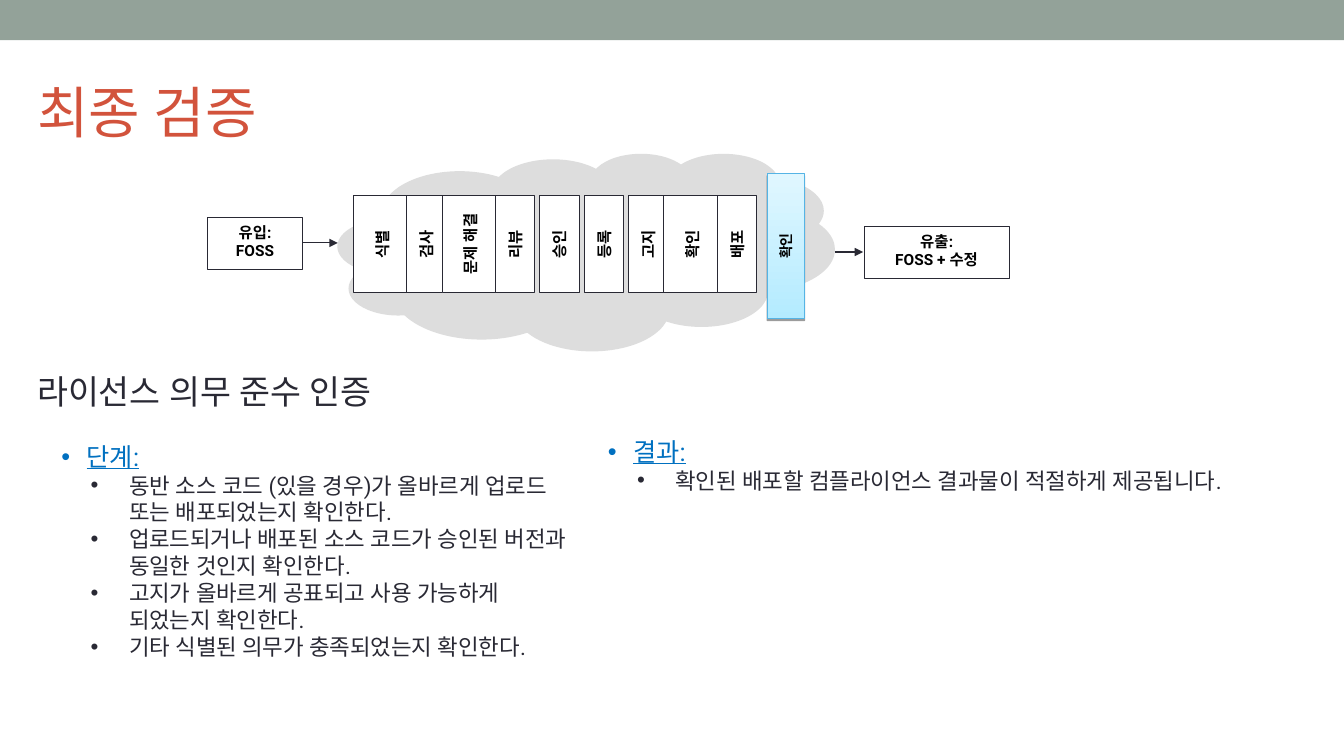
from lxml import etree
from pptx import Presentation
from pptx.dml.color import RGBColor
from pptx.enum.shapes import MSO_CONNECTOR, MSO_SHAPE
from pptx.enum.text import MSO_ANCHOR, MSO_AUTO_SIZE, PP_ALIGN
from pptx.oxml.ns import qn
from pptx.util import Inches, Pt

RECT, CLOUD = MSO_SHAPE.RECTANGLE, MSO_SHAPE.CLOUD_CALLOUT
STRAIGHT = MSO_CONNECTOR.STRAIGHT
TOP, MIDDLE = MSO_ANCHOR.TOP, MSO_ANCHOR.MIDDLE
LEFT, CENTER = PP_ALIGN.LEFT, PP_ALIGN.CENTER
FONT = "Roboto"
C = {"band": "93A299", "title": "D2533C", "ink": "292934", "black": "000000",
     "white": "FFFFFF", "cloud": "DDDDDD", "blue": "0070C0",
     "check_top": "E0F7FF", "check_bottom": "B4EBFF", "check_line": "55B4E5"}

STAGES = ["식별", "검사", "문제 해결", "리뷰", "승인", "등록", "고지", "확인", "배포"]
WIDE_STAGES = {"식별", "문제 해결", "확인"}
STEPS = ["동반 소스 코드 (있을 경우)가 올바르게 업로드 또는 배포되었는지 확인한다.",
         "업로드되거나 배포된 소스 코드가 승인된 버전과 동일한 것인지 확인한다.",
         "고지가 올바르게 공표되고 사용 가능하게 되었는지 확인한다.",
         "기타 식별된 의무가 충족되었는지 확인한다."]
RESULTS = ["확인된 배포할 컴플라이언스 결과물이 적절하게 제공됩니다."]


def rgb(name):
    return RGBColor.from_string(C[name])


def add_text(p, text, size=11, color="black", bold=False, underline=False, align=LEFT):
    p.alignment = align
    r = p.add_run()
    r.text = text
    f = r.font
    f.name, f.size, f.bold, f.underline = FONT, Pt(size), bold, underline
    f.color.rgb = rgb(color)
    etree.SubElement(r._r.get_or_add_rPr(), qn("a:ea"), typeface=FONT)


def setup_frame(sp, anchor=TOP):
    tf = sp.text_frame
    tf.word_wrap = True
    tf.auto_size = MSO_AUTO_SIZE.NONE
    tf.vertical_anchor = anchor
    return tf


def place(sp, x, y, w, h):
    sp.left, sp.top, sp.width, sp.height = (Inches(v) for v in (x, y, w, h))


def add_box(s, x, y, w, h, fill="white", line="ink", kind=RECT):
    sp = s.shapes.add_shape(kind, *(Inches(v) for v in (x, y, w, h)))
    sp.shadow.inherit = False
    sp.fill.solid()
    sp.fill.fore_color.rgb = rgb(fill)
    if line:
        sp.line.color.rgb = rgb(line)
        sp.line.width = Pt(0.75)
    else:
        sp.line.fill.background()
    return sp


def add_arrow(s, x1, y, x2):
    cn = s.shapes.add_connector(STRAIGHT, Inches(x1), Inches(y), Inches(x2), Inches(y))
    cn.line.color.rgb = rgb("ink")
    cn.line.width = Pt(0.75)
    etree.SubElement(cn.line._get_or_add_ln(), qn("a:tailEnd"), type="triangle")
    etree.SubElement(cn._element.spPr, qn("a:effectLst"))


def add_end_box(s, x, y, w, lines):
    tf = setup_frame(add_box(s, x, y, w, 0.51))
    for i, text in enumerate(lines):
        p = tf.paragraphs[0] if i == 0 else tf.add_paragraph()
        add_text(p, text, bold=True, align=CENTER)


def add_stage(s, cx, cy, w, h, text):
    """Box centred on (cx, cy) whose text reads upwards."""
    sp = add_box(s, cx - h / 2, cy - w / 2, h, w)
    sp.rotation = 270
    add_text(setup_frame(sp, MIDDLE).paragraphs[0], text, bold=True, align=CENTER)


def add_check_bar(s, x, y, w, h):
    bar = add_box(s, x, y, w, h, line="check_line")
    bar.fill.gradient()
    bar.fill.gradient_angle = 270
    for stop, name, pos in zip(bar.fill.gradient_stops, ("check_top", "check_bottom"), (0, 1)):
        stop.color.rgb = rgb(name)
        stop.position = pos
    effects = bar._element.spPr.find(qn("a:effectLst"))
    shadow = etree.SubElement(effects, qn("a:outerShdw"), dist=str(Pt(1.6)),
                              dir="5400000", rotWithShape="0")
    color = etree.SubElement(shadow, qn("a:srgbClr"), val=C["black"])
    etree.SubElement(color, qn("a:alpha"), val="38000")

    length, depth = 1.44, 0.37
    label = s.shapes.add_textbox(Inches(x + w / 2 - length / 2), Inches(y + h / 2 - depth / 2),
                                 Inches(length), Inches(depth))
    label.rotation = 270
    add_text(setup_frame(label, MIDDLE).paragraphs[0], "확인", size=10, bold=True, align=CENTER)


def add_process(s, x, y, w, h):
    """Cloud with the row of stages, its inflow and its outflow."""
    cloud = add_box(s, x, y, w, h, fill="cloud", line=None, kind=CLOUD)
    cloud.adjustments[0], cloud.adjustments[1] = -0.007, 0.116
    add_check_bar(s, x + 4.26, y + 0.2, 0.37, 1.44)
    for i, stage in enumerate(STAGES):
        add_stage(s, x + 0.44 + 0.44 * i, y + 0.9,
                  0.57 if stage in WIDE_STAGES else 0.39, 0.97, stage)
    add_end_box(s, x - 1.29, y + 0.64, 0.94, ["유입:", "FOSS"])
    add_arrow(s, x - 0.35, y + 0.89, x)
    add_end_box(s, x + w + 0.29, y + 0.73, 1.44, ["유출:", "FOSS + 수정"])
    add_arrow(s, x + w, y + 0.98, x + w + 0.28)


def set_bullet(p, margin, indent, color):
    pPr = p._p.get_or_add_pPr()
    pPr.set("marL", str(Inches(margin)))
    pPr.set("indent", str(Inches(indent)))
    bu = etree.SubElement(pPr, qn("a:buClr"))
    etree.SubElement(bu, qn("a:srgbClr"), val=C[color])
    etree.SubElement(pPr, qn("a:buFont"), typeface="Arial")
    etree.SubElement(pPr, qn("a:buChar"), char="•")
    p.space_before = Pt(0)


def fill_list(sp, x, y, w, h, heading, items):
    place(sp, x, y, w, h)
    tf = setup_frame(sp)
    p = tf.paragraphs[0]
    set_bullet(p, 0.25, -0.25, "blue")
    p.line_spacing = 0.9
    add_text(p, heading, size=18, color="blue", underline=True)
    for item in items:
        p = tf.add_paragraph()
        p.level = 1
        set_bullet(p, 0.67, -0.38, "ink")
        add_text(p, item, size=16, color="ink")


def add_headings(s, x, y):
    place(s.shapes.title, x, y, 12, 1.08)
    add_text(setup_frame(s.shapes.title, MIDDLE).paragraphs[0], "최종 검증", size=40, color="title")
    sub = s.shapes.add_textbox(Inches(x), Inches(y + 3.07), Inches(13.06), Inches(0.5))
    add_text(setup_frame(sub).paragraphs[0], "라이선스 의무 준수 인증", size=24, color="ink")


def main():
    prs = Presentation()
    prs.slide_width, prs.slide_height = Inches(13.33), Inches(7.5)
    s = prs.slides.add_slide(prs.slide_layouts[3])
    add_box(s, 0, 0, 13.33, 0.4, fill="band", line=None)
    add_process(s, 3.35, 1.52, 4.93, 1.96)
    add_headings(s, 0.27, 0.56)
    fill_list(s.placeholders[1], 0.51, 4.36, 5.32, 3.03, "단계:", STEPS)
    fill_list(s.placeholders[2], 5.93, 4.31, 6.71, 2.52, "결과:", RESULTS)
    prs.save("out.pptx")


if __name__ == "__main__":
    main()
